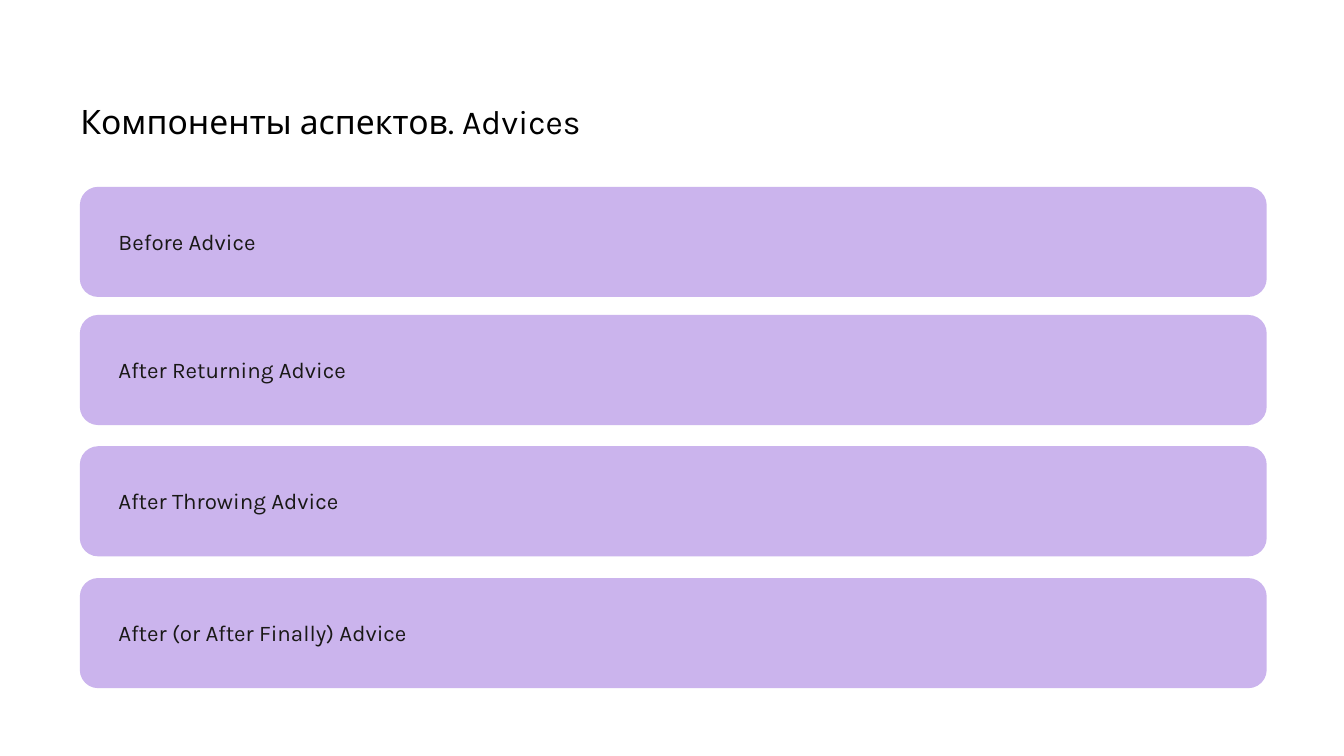
from pptx import Presentation
from pptx import util as u
from pptx.dml.color import RGBColor
from pptx.enum import shapes, text

FONT = "Karla"
ADVICES = [
    (3.53, "Before Advice"),
    (5.95, "After Returning Advice"),
    (8.43, "After Throwing Advice"),
    (10.92, "After (or After Finally) Advice"),
]


def color(value):
    """Turn a hex string into a colour."""
    return RGBColor.from_string(value)


def add_text(slide, box, words, size, ink, anchor, inset):
    """Place one line of text in a box given in centimetres."""
    frame = slide.shapes.add_textbox(*map(u.Cm, box)).text_frame
    frame.word_wrap = True
    frame.vertical_anchor = anchor
    frame.margin_left = frame.margin_right = u.Cm(inset)
    frame.margin_top = frame.margin_bottom = u.Cm(inset)
    paragraph = frame.paragraphs[0]
    paragraph.text = words
    paragraph.font.name = FONT
    paragraph.font.size = u.Pt(size)
    paragraph.font.color.rgb = color(ink)
    return paragraph


def add_title(slide, box, words):
    """Place the slide title."""
    paragraph = add_text(slide, box, words, 18, "000000", text.MSO_ANCHOR.BOTTOM, 0)
    paragraph.line_spacing = 0.85


def add_advice(slide, box, words):
    """Place a rounded panel with the name of one advice."""
    left, top, width, height = box
    panel = slide.shapes.add_shape(
        shapes.MSO_SHAPE.ROUNDED_RECTANGLE, *map(u.Cm, box)
    )
    panel.shadow.inherit = False
    panel.fill.solid()
    panel.fill.fore_color.rgb = color("CBB4ED")
    panel.line.fill.background()

    label_height = 1.02
    label = (left + 0.48, top + (height - label_height) / 2, 9.78, label_height)
    paragraph = add_text(
        slide, label, words, 12, "191816", text.MSO_ANCHOR.TOP, 0.25
    )
    paragraph.alignment = text.PP_ALIGN.JUSTIFY


def main():
    """Build and save the slide."""
    presentation = Presentation()
    presentation.slide_width = u.Cm(25.4)
    presentation.slide_height = u.Cm(14.28)
    slide = presentation.slides.add_slide(presentation.slide_layouts[6])

    add_title(slide, (1.52, 2.01, 22.4, 0.66), "Компоненты аспектов. Advices")
    for top, words in ADVICES:
        add_advice(slide, (1.51, top, 22.43, 2.08), words)

    presentation.save("out.pptx")


if __name__ == "__main__":
    main()
